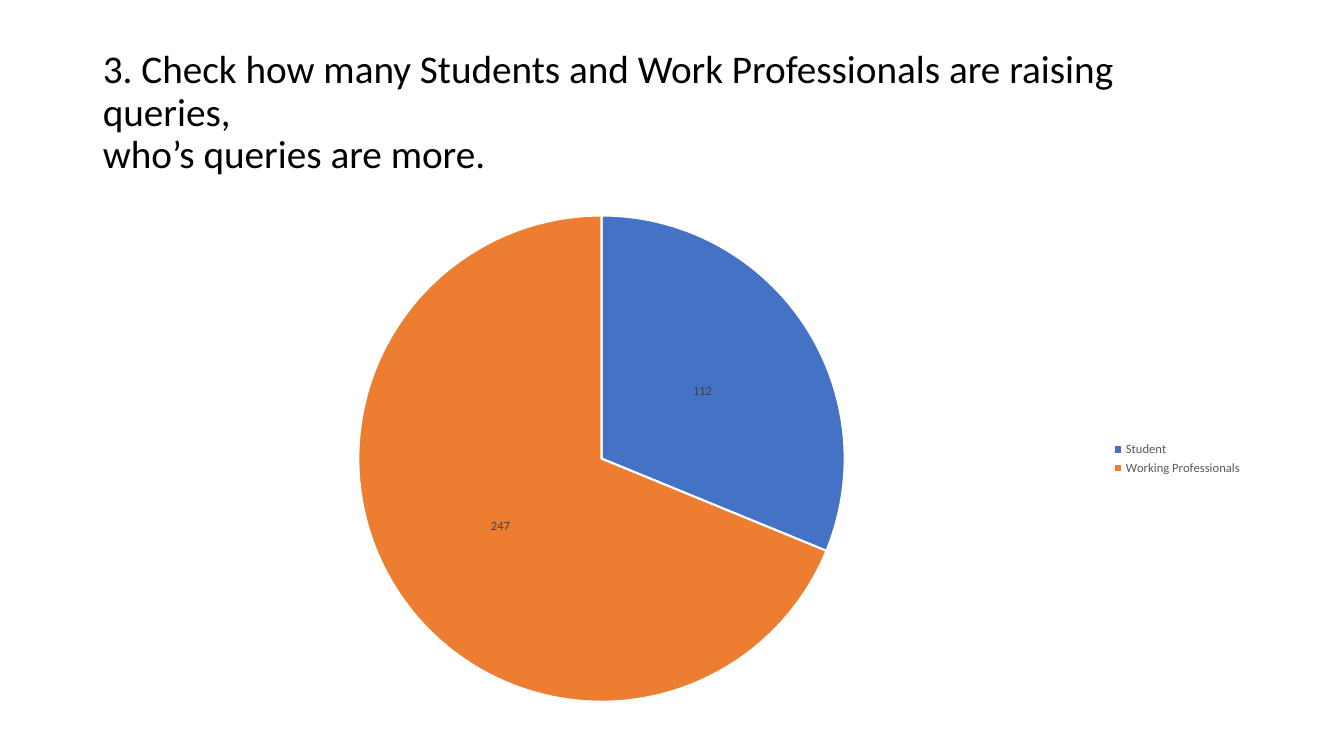
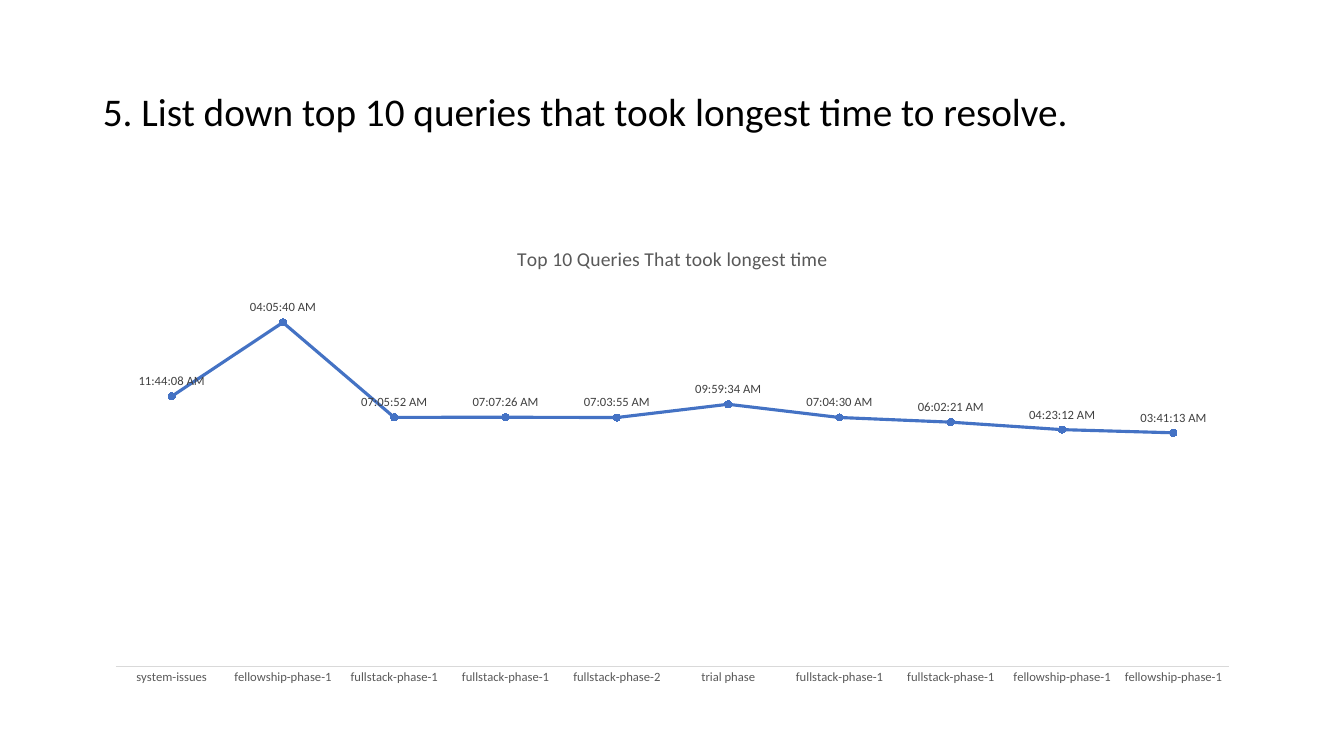
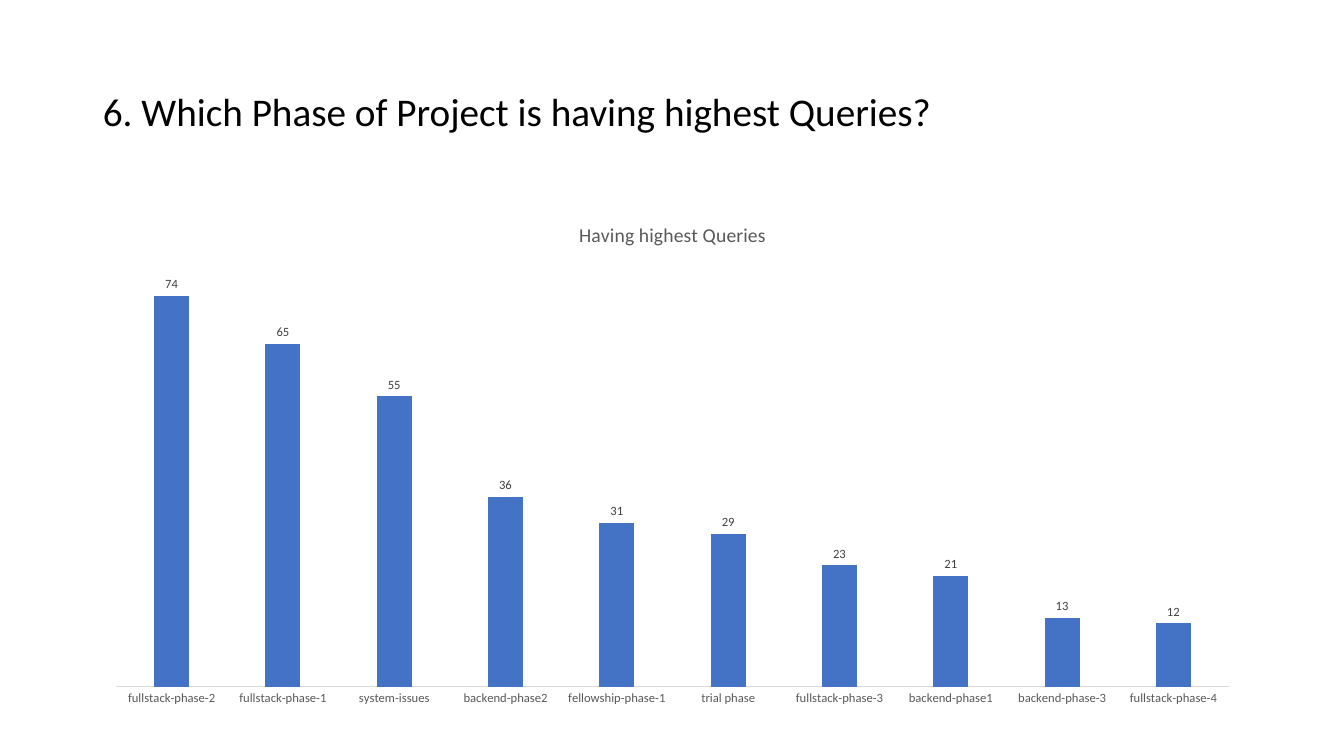
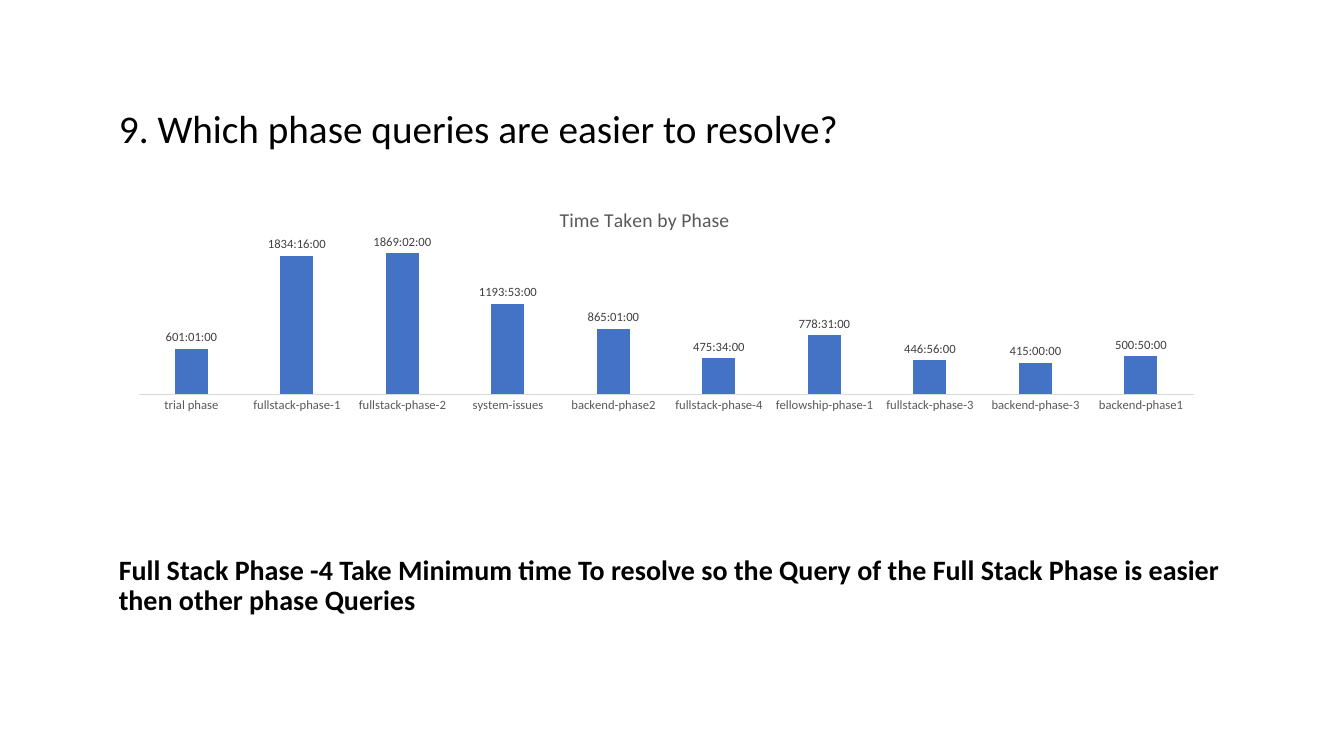
from lxml import etree
from pptx import Presentation
from pptx.chart.data import CategoryChartData
from pptx.dml.color import RGBColor
from pptx.enum.chart import XL_CHART_TYPE as ChartType
from pptx.enum.chart import XL_LABEL_POSITION as LabelPos
from pptx.enum.chart import XL_LEGEND_POSITION as LegendPos
from pptx.enum.chart import XL_MARKER_STYLE as Marker
from pptx.enum.chart import XL_TICK_MARK as Tick
from pptx.enum.text import MSO_ANCHOR, MSO_AUTO_SIZE, PP_ALIGN
from pptx.oxml.ns import qn
from pptx.util import Inches, Pt

COLORS = {"ink": "000000", "muted": "595959", "label": "404040", "axis": "D9D9D9",
          "blue": "4472C4", "orange": "ED7D31", "white": "FFFFFF"}
FONT = "Calibri"
CLOCK = r"[$-F400]h:mm:ss\ AM/PM"
ELAPSED = "[h]:mm:ss;@"
LEFT, WIDTH, TITLE_HEIGHT = 0.92, 11.5, 1.45
TITLE_BOX = (LEFT, 0.4, WIDTH, TITLE_HEIGHT)

SLIDES = [
    {
        "title": "3. Check how many Students and Work Professionals are raising queries, \v"
                 "who’s queries are more.",
        "kind": ChartType.PIE,
        "chart_box": (LEFT, 2, WIDTH, 5.1),
        "series": "Series 1",
        "data": [("Student", 112), ("Working Professionals", 247)],
        "label_pos": LabelPos.CENTER,
    },
    {
        "title": "5. List down top 10 queries that took longest time to resolve.",
        "kind": ChartType.LINE_MARKERS_STACKED,
        "chart_box": (LEFT, 2.25, WIDTH, 4.64),
        "series": "Top 10 Queries That took longest time",
        "chart_title": "Top 10 Queries That took longest time",
        "data": [("system-issues", "59:44:09"), ("fellowship-phase-1", "76:05:41"),
                 ("fullstack-phase-1", "55:05:52"), ("fullstack-phase-1", "55:07:26"),
                 ("fullstack-phase-2", "55:03:56"), ("trial phase", "57:59:35"),
                 ("fullstack-phase-1", "55:04:30"), ("fullstack-phase-1", "54:02:21"),
                 ("fellowship-phase-1", "52:23:13"), ("fellowship-phase-1", "51:41:13")],
        "number_format": CLOCK,
        "label_pos": LabelPos.ABOVE,
    },
    {
        "title": "6. Which Phase of Project is having highest Queries?",
        "kind": ChartType.COLUMN_CLUSTERED,
        "chart_box": (LEFT, 2.01, WIDTH, 5.09),
        "series": "Series 1",
        "chart_title": "Having highest Queries",
        "data": [("fullstack-phase-2", 74), ("fullstack-phase-1", 65), ("system-issues", 55),
                 ("backend-phase2", 36), ("fellowship-phase-1", 31), ("trial phase", 29),
                 ("fullstack-phase-3", 23), ("backend-phase1", 21), ("backend-phase-3", 13),
                 ("fullstack-phase-4", 12)],
        "label_pos": LabelPos.OUTSIDE_END,
    },
    {
        "title": "9. Which phase queries are easier to resolve?",
        "title_box": (1.08, 0.57, WIDTH, TITLE_HEIGHT),
        "kind": ChartType.COLUMN_CLUSTERED,
        "chart_box": (0.8, 1.85, WIDTH, 3.17),
        "series": "Time Taken by Phase",
        "chart_title": "Time Taken by Phase",
        "data": [("trial phase", "601:01:00"), ("fullstack-phase-1", "1834:16:00"),
                 ("fullstack-phase-2", "1869:02:00"), ("system-issues", "1193:53:00"),
                 ("backend-phase2", "865:01:00"), ("fullstack-phase-4", "475:34:00"),
                 ("fellowship-phase-1", "778:31:00"), ("fullstack-phase-3", "446:56:00"),
                 ("backend-phase-3", "415:00:00"), ("backend-phase1", "500:50:00")],
        "number_format": ELAPSED,
        "label_pos": LabelPos.OUTSIDE_END,
        "chart_title_layout": {"x": 0.41, "y": 0.05},
        "plot_layout": {"x": 0.05, "y": 0.14, "w": 0.91, "h": 0.51},
        "conclusion": "Full Stack Phase -4 Take Minimum time To resolve so the Query of the "
                      "Full Stack Phase is easier then other phase Queries",
        "conclusion_box": (1.08, 5.09, WIDTH, TITLE_HEIGHT),
    },
]


def rgb(name):
    return RGBColor.from_string(COLORS[name])


def inches(box):
    return [Inches(length) for length in box]


def set_font(font, size, color, bold=False):
    for key, value in {"name": FONT, "size": Pt(size), "bold": bold}.items():
        setattr(font, key, value)
    font.color.rgb = rgb(color)


def paint(fill, color):
    fill.solid()
    fill.fore_color.rgb = rgb(color)


def write(shape, box, text, size, bold=False):
    for key, value in zip(("left", "top", "width", "height"), inches(box)):
        setattr(shape, key, value)
    frame = shape.text_frame
    frame.text = text
    for key, value in {"word_wrap": True, "auto_size": MSO_AUTO_SIZE.NONE,
                       "vertical_anchor": MSO_ANCHOR.MIDDLE}.items():
        setattr(frame, key, value)
    paragraph = frame.paragraphs[0]
    paragraph.alignment = PP_ALIGN.LEFT
    paragraph.line_spacing = 0.9
    for run in paragraph.runs:
        set_font(run.font, size, "ink", bold)


def as_number(value):
    """Turn an h:mm:ss duration into days; leave plain numbers alone."""
    if not isinstance(value, str):
        return value
    hours, minutes, seconds = map(int, value.split(":"))
    return round((hours * 3600 + minutes * 60 + seconds) / 86400, 6)


def place(parent, index, fractions, inner=False):
    """Give a chart part a manual layout in fractions of the chart area."""
    layout = parent.find(qn("c:layout"))
    if layout is None:
        layout = etree.Element(qn("c:layout"))
        parent.insert(index, layout)
    manual = etree.SubElement(layout, qn("c:manualLayout"))
    settings = [("layoutTarget", "inner")] if inner else []
    settings += [("xMode", "edge"), ("yMode", "edge"), *fractions.items()]
    for tag, value in settings:
        etree.SubElement(manual, qn(f"c:{tag}")).set("val", str(value))


def style_pie(chart, series):
    for index, color in enumerate(("blue", "orange")):
        slice_format = series.points[index].format
        paint(slice_format.fill, color)
        slice_format.line.color.rgb = rgb("white")
        slice_format.line.width = Pt(1.5)
    chart.has_legend = True
    chart.legend.position = LegendPos.RIGHT
    chart.legend.include_in_layout = False
    set_font(chart.legend.font, 9, "muted")


def style_axes(chart):
    chart.value_axis.visible = False
    chart.value_axis.has_major_gridlines = False
    axis = chart.category_axis
    axis.major_tick_mark = axis.minor_tick_mark = Tick.NONE
    axis.format.line.color.rgb = rgb("axis")
    axis.format.line.width = Pt(0.75)
    set_font(axis.tick_labels.font, 9, "muted")


def style_line(chart, series):
    style_axes(chart)
    series.smooth = False
    series.format.line.color.rgb = rgb("blue")
    series.format.line.width = Pt(2.25)
    series.marker.style = Marker.CIRCLE
    series.marker.size = 5
    paint(series.marker.format.fill, "blue")
    series.marker.format.line.color.rgb = rgb("blue")


def style_columns(chart, series):
    style_axes(chart)
    chart.plots[0].gap_width = 219
    chart.plots[0].overlap = -27
    paint(series.format.fill, "blue")


STYLES = {ChartType.PIE: style_pie, ChartType.LINE_MARKERS_STACKED: style_line,
          ChartType.COLUMN_CLUSTERED: style_columns}


def add_query_chart(slide, content):
    number_format = content.get("number_format", "General")
    data = CategoryChartData(number_format=number_format)
    data.categories = [category for category, _ in content["data"]]
    data.add_series(content["series"], [as_number(value) for _, value in content["data"]])
    chart = slide.shapes.add_chart(content["kind"], *inches(content["chart_box"]), data).chart
    set_font(chart.font, 10, "ink")
    chart.has_legend = False
    chart.has_title = "chart_title" in content
    if chart.has_title:
        heading = chart.chart_title.text_frame
        heading.text = content["chart_title"]
        set_font(heading.paragraphs[0].runs[0].font, 14, "muted")

    plot = chart.plots[0]
    plot.vary_by_categories = content["kind"] == ChartType.PIE
    STYLES[content["kind"]](chart, plot.series[0])
    labels = plot.series[0].data_labels
    for key, value in {"show_value": True, "position": content["label_pos"],
                       "number_format": number_format,
                       "number_format_is_linked": False}.items():
        setattr(labels, key, value)
    set_font(labels.font, 9, "label")

    chart_xml = chart._chartSpace.find(qn("c:chart"))
    if "chart_title_layout" in content:
        place(chart_xml.find(qn("c:title")), 1, content["chart_title_layout"])
    if "plot_layout" in content:
        place(chart_xml.find(qn("c:plotArea")), 0, content["plot_layout"], inner=True)


def main():
    deck = Presentation()
    deck.slide_width, deck.slide_height = Inches(13.33), Inches(7.5)
    title_only = deck.slide_layouts[5]
    for content in SLIDES:
        slide = deck.slides.add_slide(title_only)
        write(slide.shapes.title, content.get("title_box", TITLE_BOX), content["title"], 28)
        add_query_chart(slide, content)
        if "conclusion" in content:
            box = content["conclusion_box"]
            write(slide.shapes.add_textbox(*inches(box)), box, content["conclusion"], 20, bold=True)
    deck.save("out.pptx")


if __name__ == "__main__":
    main()
